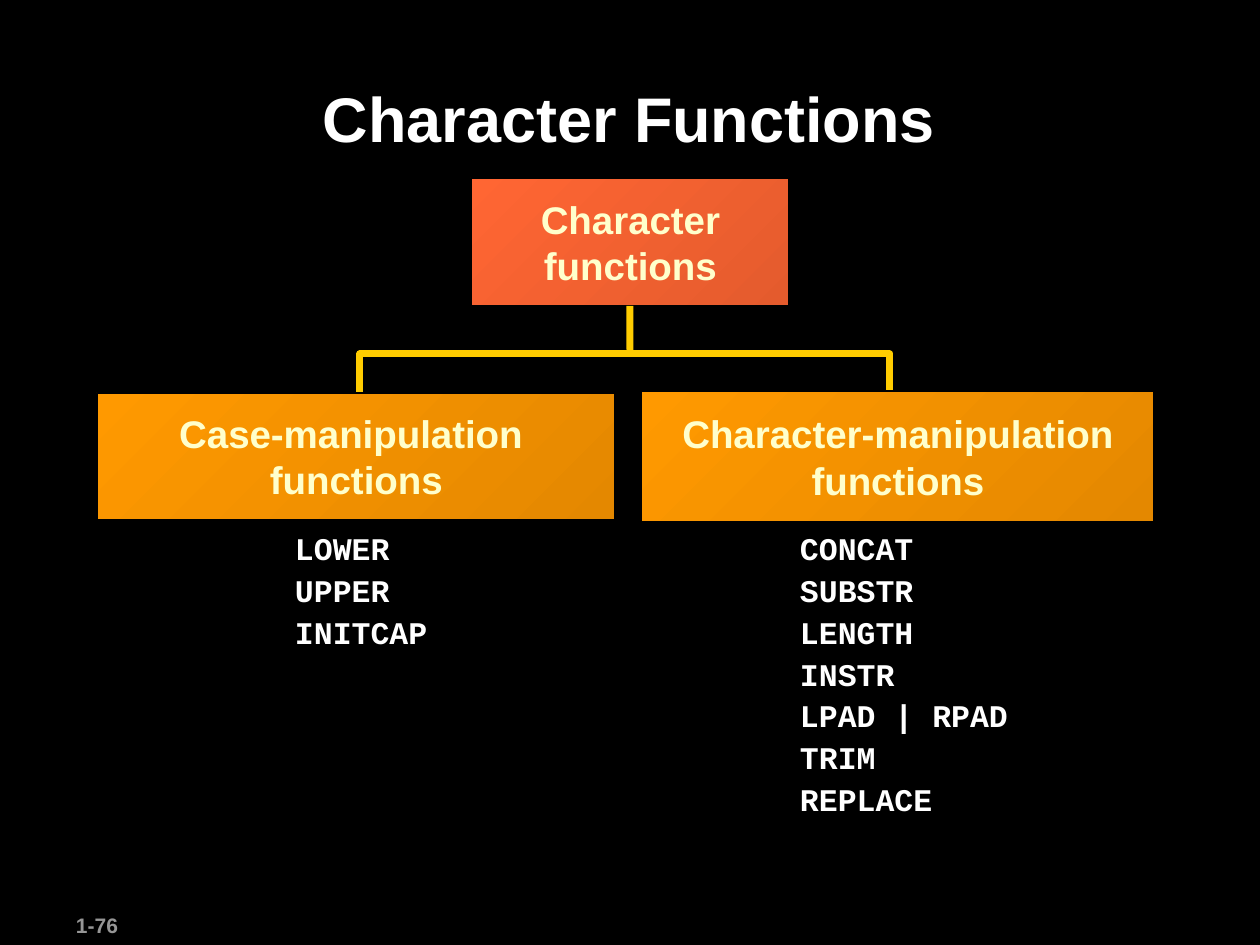
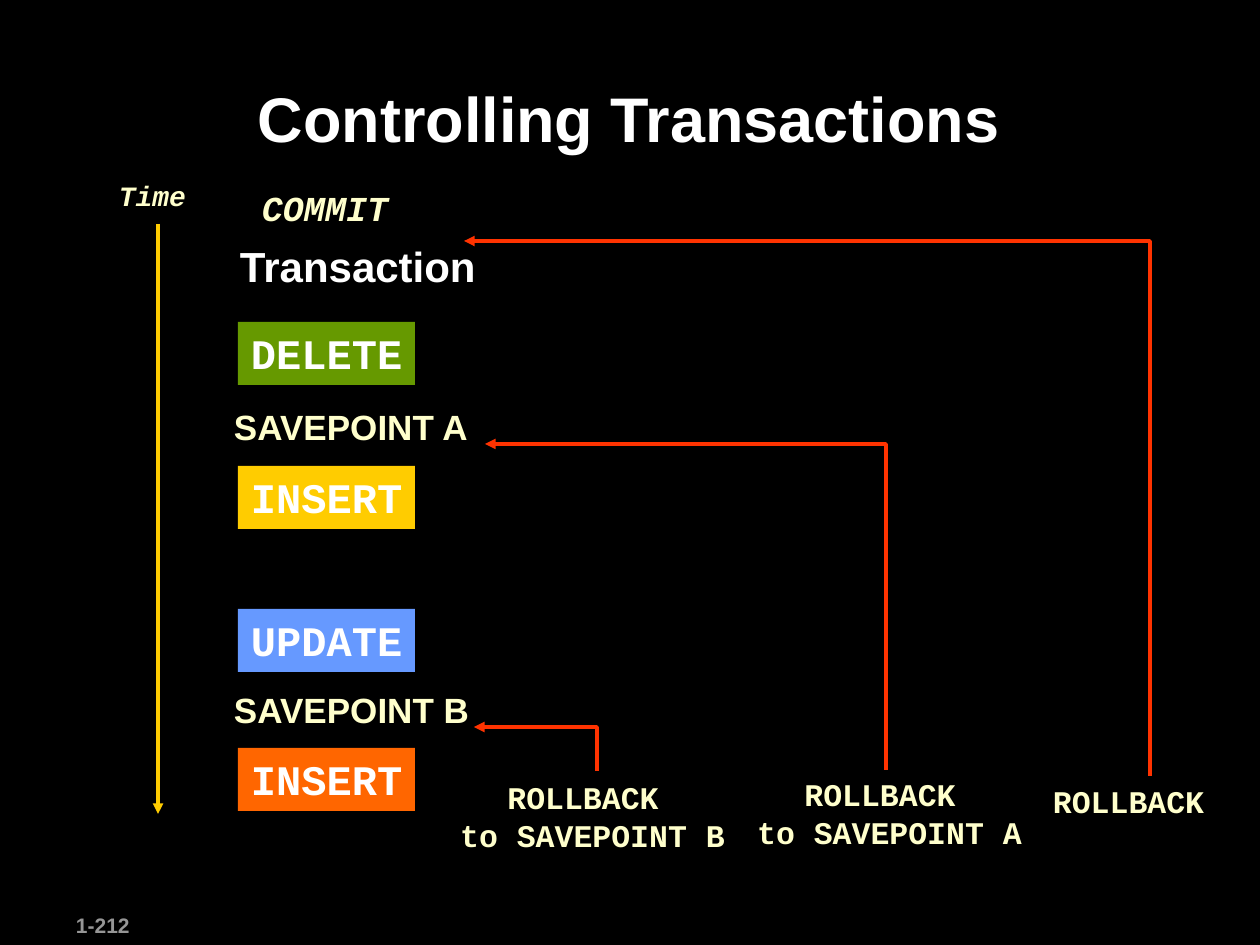
"""Build two slides on character functions and on transaction control."""
from dataclasses import dataclass

from lxml.etree import SubElement
from pptx import Presentation
from pptx.dml.color import RGBColor
from pptx.enum.shapes import MSO_CONNECTOR as CXN, MSO_SHAPE as SHAPE
from pptx.enum.text import MSO_ANCHOR as ANCHOR, PP_ALIGN as ALIGN
from pptx.oxml.ns import qn
from pptx.util import Pt

SCALE = 914400 / 126
SANS, MONO = "Arial", "Courier New"
BLACK, WHITE, CREAM, GRAY = "000000", "FFFFFF", "FFFFCC", "969696"
YELLOW, RED, ORANGE = "FFCC00", "FF3300", "FF9900"
DARK_ORANGE = "E48800"


@dataclass(frozen=True)
class Block:
    """Text in a plain, solid or shaded rectangle, one line per paragraph."""
    lines: tuple[str, ...]
    x: int
    y: int
    w: int
    h: int
    size: int
    color: str = CREAM
    font: str = SANS
    italic: bool = False
    center: bool = False
    wrap: bool = True
    spacing: float = 1.0
    before: float = 0
    fill: str = ""
    shade: str = ""


@dataclass(frozen=True)
class Route:
    """An open line through points given in px."""
    points: tuple[tuple[int, int], ...]
    color: str
    width: int
    arrow: bool = False


def emu(px: int) -> int:
    return round(px * SCALE)


def rgb(code: str) -> RGBColor:
    return RGBColor.from_string(code)


def paint(sp, block: Block) -> None:
    """Fill a rectangle, with a black outline if it is shaded."""
    sp.shadow.inherit = False
    if block.shade:
        sp.fill.gradient()
        sp.fill.gradient_angle = 135
        for stop, code in zip(sp.fill.gradient_stops, (block.shade, block.fill)):
            stop.color.rgb = rgb(code)
        sp.line.color.rgb = rgb(BLACK)
        sp.line.width = Pt(1)
    else:
        sp.fill.solid()
        sp.fill.fore_color.rgb = rgb(block.fill)
        sp.line.fill.background()


def draw_block(slide, block: Block):
    """Draw the rectangle or text box and its paragraphs."""
    frame = [emu(v) for v in (block.x, block.y, block.w, block.h)]
    if block.fill:
        sp = slide.shapes.add_shape(SHAPE.RECTANGLE, *frame)
        paint(sp, block)
    else:
        sp = slide.shapes.add_textbox(*frame)
    tf = sp.text_frame
    tf.word_wrap = block.wrap
    tf.vertical_anchor = ANCHOR.MIDDLE if block.shade else ANCHOR.TOP
    tf.margin_left, tf.margin_right = emu(13), emu(12)
    tf.margin_top = tf.margin_bottom = emu(6)
    for i, line in enumerate(block.lines):
        p = tf.add_paragraph() if i else tf.paragraphs[0]
        p.alignment = ALIGN.CENTER if block.center else ALIGN.LEFT
        p.line_spacing = block.spacing
        if i:
            p.space_before = Pt(block.before)
        r = p.add_run()
        r.text = line
        r.font.name, r.font.size = block.font, Pt(block.size)
        r.font.bold, r.font.italic = True, block.italic
        r.font.color.rgb = rgb(block.color)
    return sp


def draw_route(slide, route: Route):
    """Draw a connector for two points and a freeform for more."""
    start, *rest = route.points
    if len(rest) == 1:
        ends = [emu(v) for v in (*start, *rest[0])]
        sp = slide.shapes.add_connector(CXN.STRAIGHT, *ends)
        SubElement(sp._element.spPr, qn("a:effectLst"))
    else:
        builder = slide.shapes.build_freeform(*start, scale=SCALE)
        builder.add_line_segments(rest, close=False)
        sp = builder.convert_to_shape()
        sp.fill.background()
        sp.shadow.inherit = False
    sp.line.color.rgb = rgb(route.color)
    sp.line.width = Pt(route.width)
    if route.arrow:
        SubElement(sp.line._get_or_add_ln(), qn("a:tailEnd"), type="triangle")
    return sp


def new_slide(prs, title: str, number: str):
    """Add a black slide with its title and page number."""
    slide = prs.slides.add_slide(prs.slide_layouts[6])
    slide.background.fill.solid()
    slide.background.fill.fore_color.rgb = rgb(BLACK)
    draw_block(slide, Block((number,), 63, 907, 132, 38, 12, GRAY))
    draw_block(slide, Block((title,), 118, 73, 1021, 121, 36, WHITE, center=True))
    return slide


def function_list(names: str, x: int, w: int, h: int) -> Block:
    return Block(tuple(names.split(", ")), x, 527, w, h, 18, WHITE, MONO,
                 spacing=0.9, before=4.5)


def tree_box(lines: tuple[str, ...], x: int, y: int, w: int, h: int,
             fill: str = ORANGE, shade: str = DARK_ORANGE) -> Block:
    return Block(lines, x, y, w, h, 22, center=True, wrap=False,
                 fill=fill, shade=shade)


def character_functions(prs) -> None:
    """Draw the tree of character functions."""
    slide = new_slide(prs, "Character Functions", "1-76")
    root = draw_block(slide, tree_box(("Character", "functions"),
                                      471, 178, 318, 128, "FF6633", "E45B2D"))
    draw_block(slide, function_list("LOWER, UPPER, INITCAP", 282, 166, 131))
    draw_block(slide, function_list(
        "CONCAT, SUBSTR, LENGTH, INSTR, LPAD | RPAD, TRIM, REPLACE",
        787, 240, 299))
    stem = draw_route(slide, Route(((630, 306), (630, 352)), YELLOW, 4))
    stem.begin_connect(root, 2)
    draw_route(slide, Route(((360, 423), (360, 354), (890, 354), (890, 428)),
                            YELLOW, 4))
    draw_block(slide, tree_box(("Case-manipulation ", "functions"),
                               97, 393, 518, 127))
    draw_block(slide, tree_box(("Character-manipulation", "functions"),
                               641, 391, 513, 131))


def controlling_transactions(prs) -> None:
    """Draw the timeline of statements with the rollback paths."""
    slide = new_slide(prs, "Controlling Transactions", "1-212")
    for name, y in (("B", 682), ("A", 399)):
        draw_block(slide, Block((f"SAVEPOINT {name}",), 221, y, 282, 54, 20))
    for name, y, fill in (("DELETE", 322, "669900"), ("INSERT", 466, YELLOW),
                          ("UPDATE", 609, "6699FF"), ("INSERT", 748, "FF6600")):
        draw_block(slide, Block((name,), 238, y, 177, 63, 24, WHITE, MONO,
                                wrap=False, fill=fill))
    draw_block(slide, Block(("COMMIT",), 249, 180, 179, 54, 20, font=MONO,
                            italic=True))
    draw_route(slide, Route(((158, 224), (158, 814)), YELLOW, 2, True))
    draw_block(slide, Block(("Time",), 106, 173, 101, 47, 16, font=MONO,
                            italic=True))
    draw_block(slide, Block(("Transaction",), 227, 235, 270, 63, 24, WHITE))
    for name, x, y in (("B", 442, 772), ("A", 739, 769)):
        draw_block(slide, Block(("ROLLBACK ", f"to SAVEPOINT {name}"),
                                x, y, 300, 88, 18, font=MONO, center=True))
    draw_block(slide, Block(("ROLLBACK",), 1040, 776, 190, 50, 18, font=MONO))
    for x, bottom, top, tip in ((597, 771, 727, 474), (886, 770, 444, 485),
                                (1150, 776, 241, 464)):
        draw_route(slide, Route(((x, bottom), (x, top), (tip, top)), RED, 2, True))


def main() -> None:
    prs = Presentation()
    prs.slide_width, prs.slide_height = emu(1260), emu(945)
    character_functions(prs)
    controlling_transactions(prs)
    prs.save("out.pptx")


if __name__ == "__main__":
    main()
